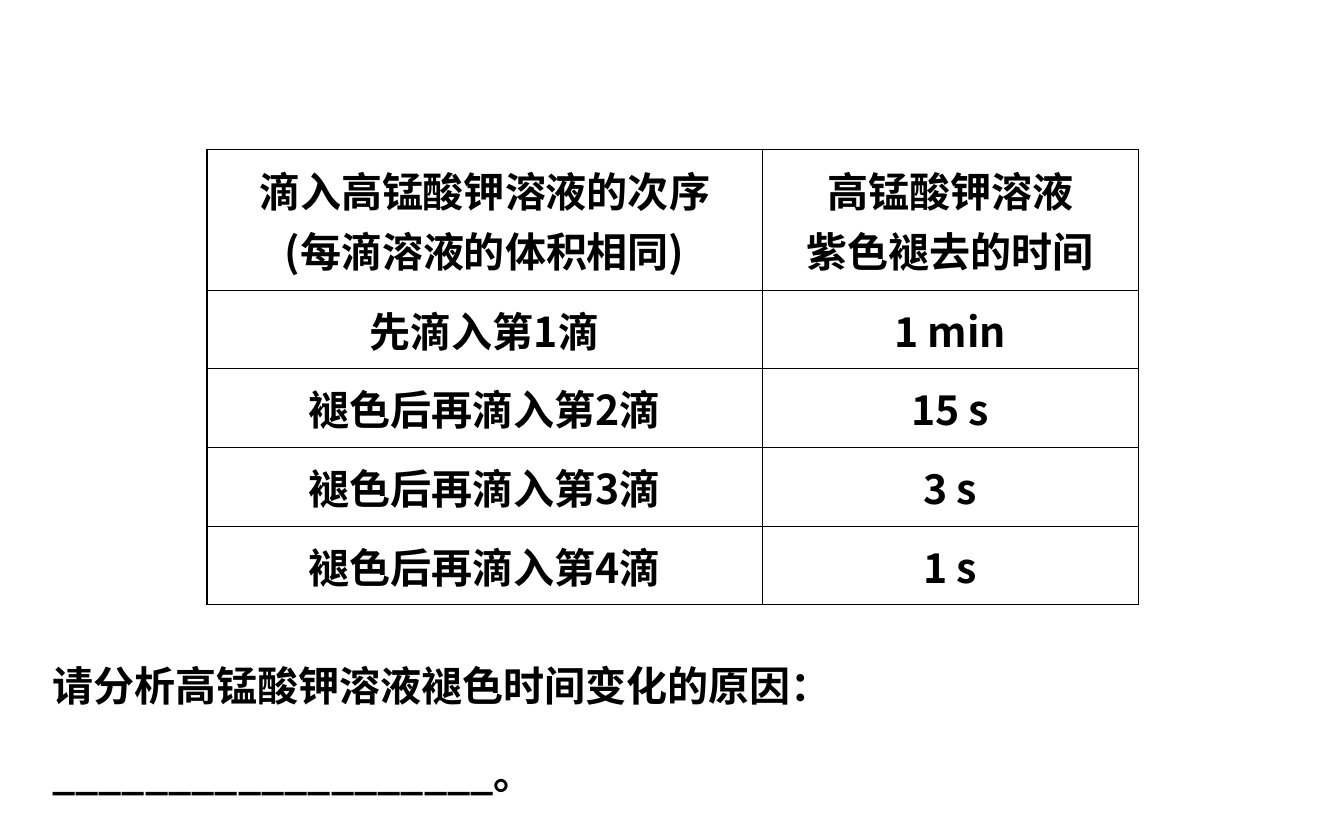
from lxml import etree
from pptx import Presentation
from pptx.dml.color import RGBColor
from pptx.enum import lang, text
from pptx.oxml import ns
from pptx.util import Inches, Pt

BLACK = RGBColor(0, 0, 0)
FONT = "Noto Sans CJK SC"
OUTER, INNER = Pt(0.75), Pt(0.45)
COLUMN_WIDTHS = [4.13, 2.8]
ROW_HEIGHTS = [1.05] + [0.585] * 4
HEADER = [
    ["滴入高锰酸钾溶液的次序", "(每滴溶液的体积相同)"],
    ["高锰酸钾溶液", "紫色褪去的时间"],
]
FADING_TIMES = ["1 min", "15 s", "3 s", "1 s"]
QUESTION = "请分析高锰酸钾溶液褪色时间变化的原因：" + "_" * 19 + "。"


def add_run(paragraph, words):
    run = paragraph.add_run()
    run.text = words
    run.font.size = Pt(22)
    run.font.bold = True
    run.font.color.rgb = BLACK
    run.font.name = FONT
    run.font.language_id = lang.MSO_LANGUAGE_ID.SIMPLIFIED_CHINESE
    east_asian = etree.SubElement(run.font._element, ns.qn("a:ea"))
    east_asian.set("typeface", FONT)


def set_borders(cell, widths):
    properties = cell._tc.get_or_add_tcPr()
    for side, width in zip("LRTB", widths):
        border = etree.SubElement(properties, ns.qn(f"a:ln{side}"), w=str(width))
        fill = etree.SubElement(border, ns.qn("a:solidFill"))
        etree.SubElement(fill, ns.qn("a:srgbClr"), val=str(BLACK))


def fill_cell(cell, lines):
    cell.vertical_anchor = text.MSO_ANCHOR.MIDDLE
    frame = cell.text_frame
    for index, line in enumerate(lines):
        paragraph = frame.add_paragraph() if index else frame.paragraphs[0]
        paragraph.alignment = text.PP_ALIGN.CENTER
        add_run(paragraph, line)


def add_fading_table(slide, rows):
    last_row, last_column = len(rows) - 1, len(COLUMN_WIDTHS) - 1
    table = slide.shapes.add_table(
        len(rows), len(COLUMN_WIDTHS), Inches(1.54), Inches(1.11),
        Inches(sum(COLUMN_WIDTHS)), Inches(sum(ROW_HEIGHTS)),
    ).table
    table.first_row = table.horz_banding = False
    for column, width in zip(table.columns, COLUMN_WIDTHS):
        column.width = Inches(width)
    for r, (row, height) in enumerate(zip(rows, ROW_HEIGHTS)):
        table.rows[r].height = Inches(height)
        for c, lines in enumerate(row):
            cell = table.cell(r, c)
            fill_cell(cell, lines)
            on_edge = [c == 0, c == last_column, r == 0, r == last_row]
            set_borders(cell, [OUTER if edge else INNER for edge in on_edge])
            cell.fill.background()


def add_question(slide):
    frame = slide.shapes.add_textbox(
        Inches(0.29), Inches(4.57), Inches(9.43), Inches(0.76)
    ).text_frame
    frame.word_wrap = True
    frame.auto_size = text.MSO_AUTO_SIZE.SHAPE_TO_FIT_TEXT
    paragraph = frame.paragraphs[0]
    paragraph.line_spacing = 1.8
    add_run(paragraph, QUESTION)


def main():
    deck = Presentation()
    deck.slide_width, deck.slide_height = Inches(10), Inches(6.25)
    slide = deck.slides.add_slide(deck.slide_layouts[6])
    rows = [HEADER]
    for drop, time in enumerate(FADING_TIMES, 1):
        action = "先滴入" if drop == 1 else "褪色后再滴入"
        rows.append([[f"{action}第{drop}滴"], [time]])
    add_question(slide)
    add_fading_table(slide, rows)
    deck.save("out.pptx")


if __name__ == "__main__":
    main()
